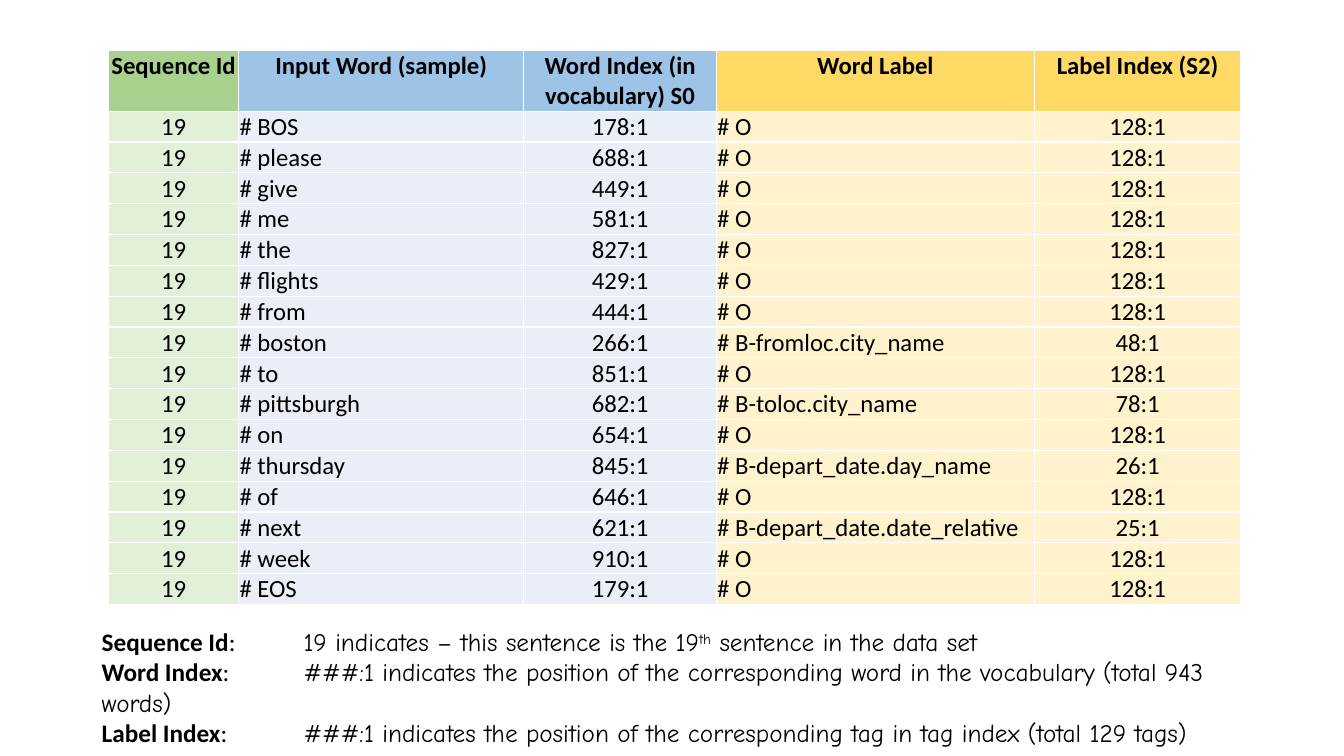
from pptx import Presentation
from pptx.dml.color import RGBColor
from pptx.enum.text import MSO_ANCHOR as Anchor, MSO_AUTO_SIZE as AutoSize, PP_ALIGN as Align
from pptx.oxml import parse_xml
from pptx.oxml.ns import nsdecls
from pptx.util import Pt

PX = 6350  # 144 px to the inch
BLACK = RGBColor(0x00, 0x00, 0x00)
GREEN, PALE_GREEN = RGBColor(0xA9, 0xD1, 0x8E), RGBColor(0xE2, 0xF0, 0xD9)
BLUE, PALE_BLUE = RGBColor(0x9D, 0xC3, 0xE6), RGBColor(0xEA, 0xEF, 0xF7)
GOLD, PALE_GOLD = RGBColor(0xFF, 0xD9, 0x66), RGBColor(0xFF, 0xF2, 0xCC)

# heading, width, heading fill, body fill, body alignment
COLUMNS = [
    ("Sequence Id", 190, GREEN, PALE_GREEN, Align.CENTER),
    ("Input Word (sample)", 415, BLUE, PALE_BLUE, Align.LEFT),
    ("Word Index (in vocabulary) S0", 281, BLUE, PALE_BLUE, Align.CENTER),
    ("Word Label", 463, GOLD, PALE_GOLD, Align.LEFT),
    ("Label Index (S2)", 301, GOLD, PALE_GOLD, Align.CENTER),
]
SEQUENCE_ID = "19"
WORDS = [
    ("BOS", 178), ("please", 688), ("give", 449), ("me", 581),
    ("the", 827), ("flights", 429), ("from", 444), ("boston", 266),
    ("to", 851), ("pittsburgh", 682), ("on", 654), ("thursday", 845),
    ("of", 646), ("next", 621), ("week", 910), ("EOS", 179),
]
OUTSIDE = ("O", 128)
LABELS = {
    "boston": ("B-fromloc.city_name", 48),
    "pittsburgh": ("B-toloc.city_name", 78),
    "thursday": ("B-depart_date.day_name", 26),
    "next": ("B-depart_date.date_relative", 25),
}
# term, then explanation as (text, is superscript) parts
NOTES = [
    ("Sequence Id", [("19 indicates – this sentence is the 19", False), ("th", True),
                     (" sentence in the data set", False)]),
    ("Word Index", [("###:1 indicates the position of the corresponding word "
                     "in the vocabulary (total 943 words)", False)]),
    ("Label Index", [("###:1 indicates the position of the corresponding tag "
                      "in tag index (total 129 tags)", False)]),
]


def set_all(target, values):
    for name, value in values.items():
        setattr(target, name, value)


def set_font(font, size, name="Calibri", bold=False):
    set_all(font, {"size": Pt(size), "name": name, "bold": bold})
    font.color.rgb = BLACK


def add_white_borders(cell):
    properties = cell._tc.get_or_add_tcPr()
    for side in ("lnL", "lnR", "lnT", "lnB"):
        properties.append(parse_xml(
            f'<a:{side} {nsdecls("a")} w="12700"><a:solidFill>'
            f'<a:srgbClr val="FFFFFF"/></a:solidFill></a:{side}>'))


def fill_cell(cell, text, colour, alignment, anchor, bold):
    add_white_borders(cell)
    set_all(cell, {"text": text, "vertical_anchor": anchor, "margin_left": PX,
                   "margin_right": PX, "margin_top": PX, "margin_bottom": 0})
    cell.fill.solid()
    cell.fill.fore_color.rgb = colour
    paragraph = cell.text_frame.paragraphs[0]
    paragraph.alignment = alignment
    set_font(paragraph.runs[0].font, 18, bold=bold)


def word_row(word, index):
    label, label_index = LABELS.get(word, OUTSIDE)
    return SEQUENCE_ID, f"# {word}", f"{index}:1", f"# {label}", f"{label_index}:1"


def add_word_table(slide, left, top, head_height, row_height):
    width = sum(column[1] for column in COLUMNS)
    height = head_height + row_height * len(WORDS)
    table = slide.shapes.add_table(len(WORDS) + 1, len(COLUMNS), left * PX, top * PX,
                                   width * PX, height * PX).table
    for row in table.rows:
        row.height = row_height * PX
    table.rows[0].height = head_height * PX
    rows = [word_row(*word) for word in WORDS]
    for c, (heading, column_width, head_fill, body_fill, alignment) in enumerate(COLUMNS):
        table.columns[c].width = column_width * PX
        fill_cell(table.cell(0, c), heading, head_fill, Align.CENTER, Anchor.TOP, True)
        for r, row in enumerate(rows, 1):
            fill_cell(table.cell(r, c), row[c], body_fill, alignment, Anchor.BOTTOM, False)


def add_notes(slide, left, top, width, height, tab):
    """Place the explained terms, with the explanations starting at the tab."""
    frame = slide.shapes.add_textbox(left * PX, top * PX, width * PX, height * PX).text_frame
    set_all(frame, {"word_wrap": True, "auto_size": AutoSize.SHAPE_TO_FIT_TEXT})
    for i, (term, explanation) in enumerate(NOTES):
        paragraph = frame.add_paragraph() if i else frame.paragraphs[0]
        paragraph._p.get_or_add_pPr().append(parse_xml(
            f'<a:tabLst {nsdecls("a")}><a:tab pos="{tab * PX}" algn="l"/></a:tabLst>'))
        parts = [(term, "Calibri", True, False), (":\t", "Calibri", False, False)]
        parts += [(text, "Comic Neue", False, raised) for text, raised in explanation]
        for text, font_name, bold, raised in parts:
            run = paragraph.add_run()
            run.text = text
            set_font(run.font, 18.4, font_name, bold)
            if raised:
                run.font._element.set("baseline", "30000")


def main():
    deck = Presentation()
    set_all(deck, {"slide_width": 1958 * PX, "slide_height": 1102 * PX})
    slide = deck.slides.add_slide(deck.slide_layouts[6])
    add_word_table(slide, 158, 73, 89, 45)
    add_notes(slide, 134, 906, 1719, 148, 294)
    deck.save("out.pptx")


if __name__ == "__main__":
    main()
